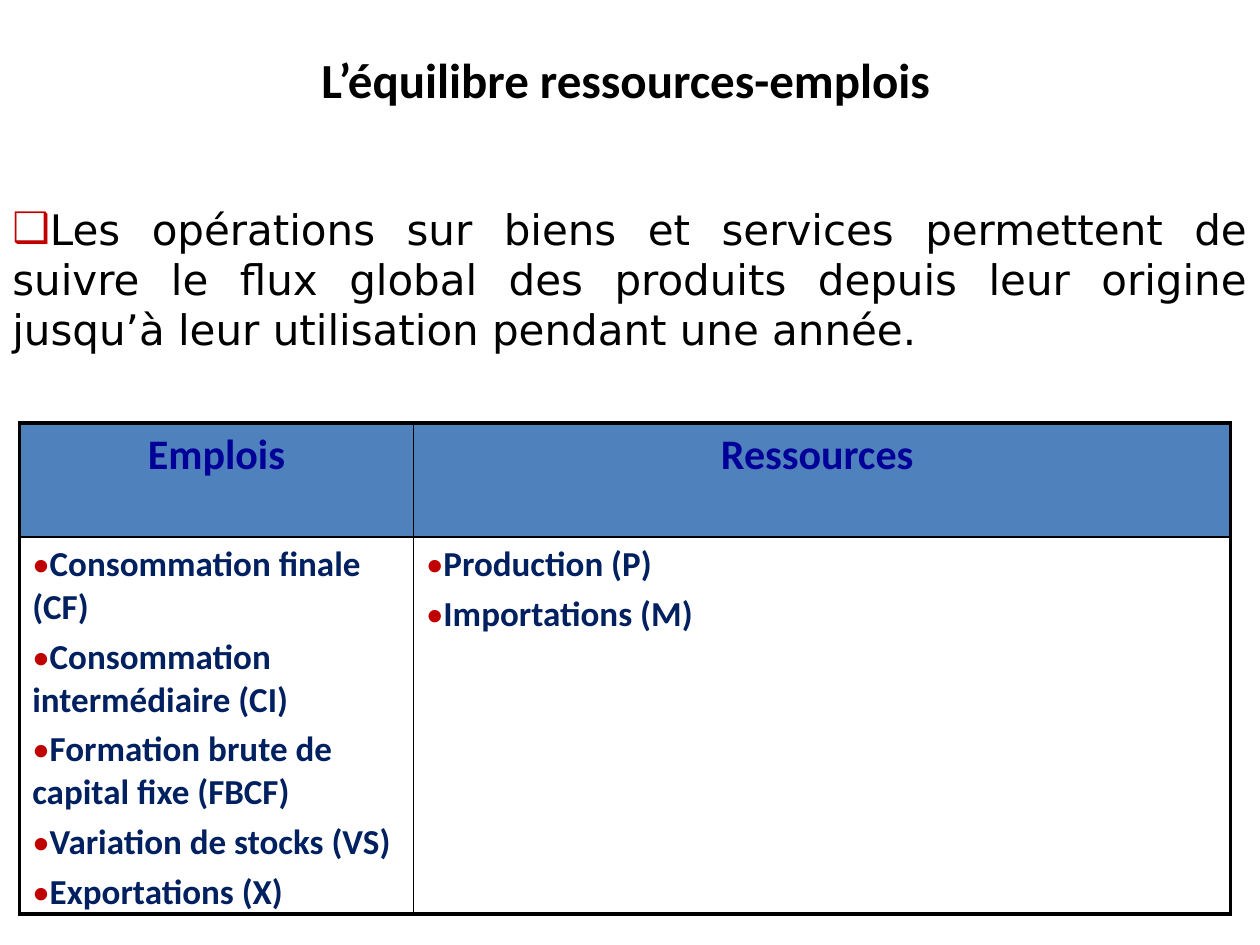
import pptx
import pptx.util
import pptx.dml.color
import pptx.enum.text
import pptx.oxml.ns
from lxml import etree

Pt = pptx.util.Pt
RGB = pptx.dml.color.RGBColor.from_string
ALIGN = pptx.enum.text.PP_ALIGN
ANCHOR = pptx.enum.text.MSO_ANCHOR
qn = pptx.oxml.ns.qn

COLORS = {
    "black": "000000",
    "header_fill": "4F81BD",
    "header_text": "000099",
    "item_text": "002060",
    "bullet": "C00000",
}


def add_text(p, text, size, font, color, bold=False, align=ALIGN.LEFT, bullet=None):
    p.alignment = align
    if bullet:
        pPr = p._p.get_or_add_pPr()
        pPr.set("marL", "0")
        pPr.set("indent", "0")
        clr = etree.SubElement(pPr, qn("a:buClr"))
        etree.SubElement(clr, qn("a:srgbClr"), val=COLORS["bullet"])
        etree.SubElement(pPr, qn("a:buFont"), typeface=font)
        etree.SubElement(pPr, qn("a:buChar"), char=bullet)
    r = p.add_run()
    r.text = text
    r.font.size = Pt(size)
    r.font.name = font
    r.font.bold = bold
    r.font.color.rgb = RGB(COLORS[color])


def set_border(cell, side, width):
    ln = etree.SubElement(cell._tc.get_or_add_tcPr(), qn("a:ln" + side), w=str(Pt(width)))
    fill = etree.SubElement(ln, qn("a:solidFill"))
    etree.SubElement(fill, qn("a:srgbClr"), val=COLORS["black"])


prs = pptx.Presentation()
prs.slide_width, prs.slide_height = Pt(720), Pt(540)
s = prs.slides.add_slide(prs.slide_layouts[6])

# Title
tf = s.shapes.add_textbox(Pt(36.72), Pt(0), Pt(648), Pt(90)).text_frame
tf.word_wrap = True
tf.vertical_anchor = ANCHOR.MIDDLE
add_text(tf.paragraphs[0], "L’équilibre ressources-emplois ", 28, "Calibri", "black",
         bold=True, align=ALIGN.CENTER)

# Introduction
tf = s.shapes.add_textbox(Pt(0), Pt(112.5), Pt(720), Pt(152.5)).text_frame
tf.word_wrap = True
add_text(tf.paragraphs[0],
         "Les opérations sur biens et services permettent de suivre le flux global "
         "des produits depuis leur origine jusqu’à leur utilisation pendant une année. ",
         24, "DejaVu Sans", "black", align=ALIGN.JUSTIFY, bullet="❑")

# Table of uses and resources
columns = [
    ("Emplois", 225, ["Consommation finale (CF)", "Consommation intermédiaire (CI)",
                      "Formation brute de capital fixe (FBCF)",
                      "Variation de stocks (VS)", "Exportations (X)"]),
    ("Ressources ", 467, ["Production (P)", "Importations (M)"]),
]
row_heights = [65, 215.5]
table = s.shapes.add_table(2, 2, Pt(11.25), Pt(241.75), Pt(692), Pt(sum(row_heights))).table
table.first_row = False
table.horz_banding = False
for row, height in zip(table.rows, row_heights):
    row.height = Pt(height)

for c, (heading, width, items) in enumerate(columns):
    table.columns[c].width = Pt(width)
    header, body = table.cell(0, c), table.cell(1, c)

    # Thick outer frame, thin inner lines
    for i, cell in enumerate((header, body)):
        cell.margin_left = cell.margin_right = Pt(7.2)
        cell.margin_top = Pt(3.6)
        cell.margin_bottom = Pt(0)
        outer = {"L": c == 0, "R": c == 1, "T": i == 0, "B": i == 1}
        for side, is_outer in outer.items():
            set_border(cell, side, 2.25 if is_outer else 1)

    header.fill.solid()
    header.fill.fore_color.rgb = RGB(COLORS["header_fill"])
    add_text(header.text_frame.paragraphs[0], heading, 24, "Calibri", "header_text",
             bold=True, align=ALIGN.CENTER)

    body.fill.background()
    tf = body.text_frame
    for i, item in enumerate(items):
        p = tf.add_paragraph() if i else tf.paragraphs[0]
        if i:
            p.space_before = Pt(4)
        add_text(p, item, 20, "Calibri", "item_text", bold=True, bullet="•")

prs.save("out.pptx")
